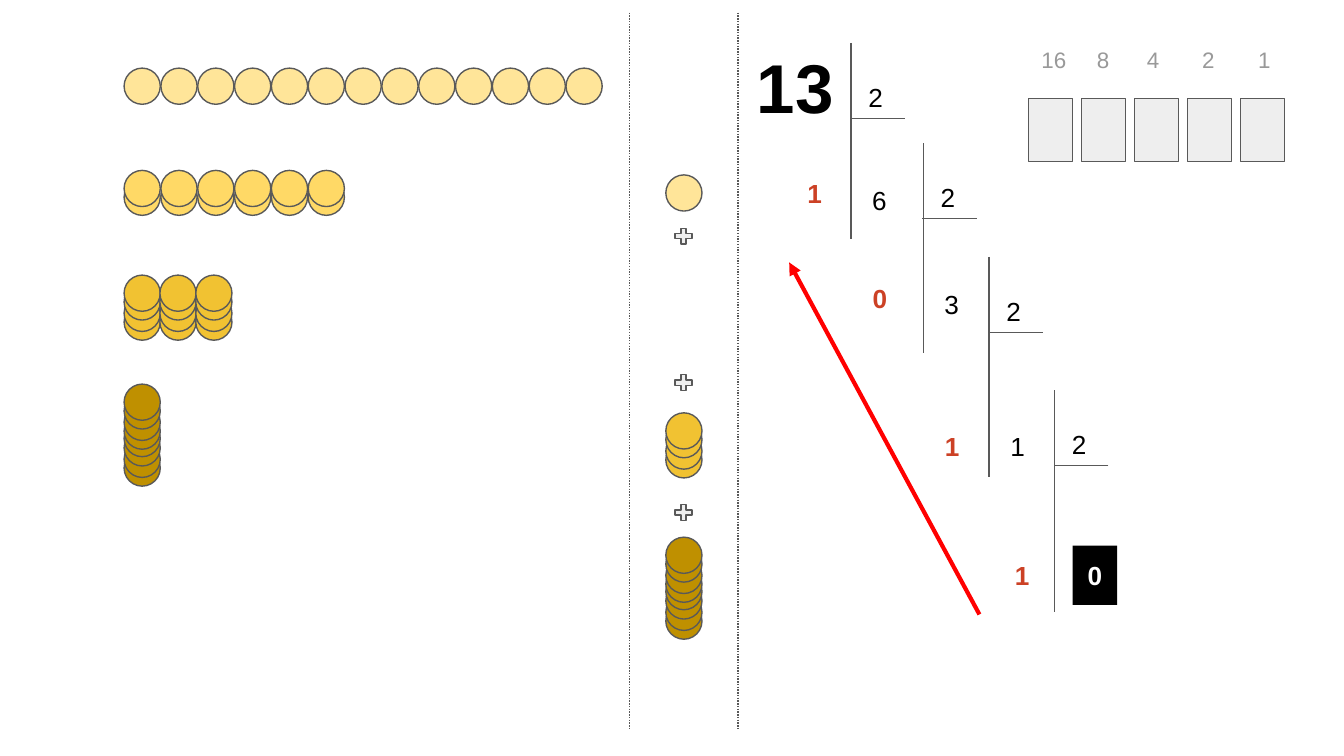
from dataclasses import dataclass

import pptx
import pptx.dml.color
import pptx.enum.dml
import pptx.enum.shapes
import pptx.enum.text
import pptx.oxml
import pptx.oxml.ns
import pptx.util

Pt = pptx.util.Pt
SHAPE = pptx.enum.shapes.MSO_SHAPE
ALIGN = pptx.enum.text.PP_ALIGN

COLORS = {
    "outline": "595959", "grey": "EEEEEE", "label": "999999",
    "black": "000000", "white": "FFFFFF", "remainder": "CC4125", "arrow": "FF0000",
    "coin1": "FFE599", "coin2": "FFD966", "coin4": "F1C232", "coin8": "BF9000",
}
COIN = 19.4
LIFTS = (0, 4.7, 10.8, 15.5, 19.5, 24.5, 30.6, 35.3)
DIGIT_W, DIGIT_H = 19.4, 31.7


@dataclass
class Piles:
    left: float
    top: float
    height: int
    color: str
    count: int = 1
    step: float = 19.73


@dataclass
class Division:
    x: float
    top: float
    bottom: float
    quotient: str
    quotient_top: float
    remainder: str
    remainder_left: float
    remainder_top: float


PILES = [
    Piles(66.5, 36.5, 1, "coin1", 13),
    Piles(66.5, 91.3, 2, "coin2", 6),
    Piles(66.5, 147.4, 4, "coin4", 3, 19.2),
    Piles(66.5, 205.8, 8, "coin8"),
    Piles(356.7, 93.7, 1, "coin1"),
    Piles(356.7, 221.2, 4, "coin4"),
    Piles(356.7, 287.8, 8, "coin8"),
]
DIVISIONS = [
    Division(455.9, 23, 128, "6", 91.6, "1", 425.5, 87.6),
    Division(494.6, 76.7, 189, "3", 147.5, "0", 460.4, 144.3),
    Division(529.9, 137.7, 255.4, "1", 223.4, "1", 499.1, 223.4),
    Division(565, 209, 328, "0", 292.4, "1", 536.6, 292.4),
]


def rgb(name: str) -> pptx.dml.color.RGBColor:
    return pptx.dml.color.RGBColor.from_string(COLORS[name])


def set_attrs(obj, **values) -> None:
    for name, value in values.items():
        setattr(obj, name, value)


def add_shape(shapes, kind, left: float, top: float, width: float, height: float, fill: str):
    sp = shapes.add_shape(kind, Pt(left), Pt(top), Pt(width), Pt(height))
    sp.shadow.inherit = False
    sp.fill.solid()
    sp.fill.fore_color.rgb = rgb(fill)
    sp.line.color.rgb = rgb("outline")
    sp.line.width = Pt(0.75)
    return sp


def add_line(shapes, x1: float, y1: float, x2: float, y2: float,
             color: str = "outline", width: float = 0.75):
    sp = shapes.add_connector(pptx.enum.shapes.MSO_CONNECTOR.STRAIGHT,
                              Pt(x1), Pt(y1), Pt(x2), Pt(y2))
    sp.line.color.rgb = rgb(color)
    sp.line.width = Pt(width)
    pptx.oxml.ns.qn("a:effectLst")
    sp.line._get_or_add_ln().addnext(
        sp._element.makeelement(pptx.oxml.ns.qn("a:effectLst")))
    return sp


def set_text(sp, text: str, size: float = 14, color: str = "black",
             bold: bool = False, align=ALIGN.LEFT):
    tf = sp.text_frame
    margins = dict.fromkeys(
        ("margin_left", "margin_right", "margin_top", "margin_bottom"), Pt(7.2))
    set_attrs(tf, word_wrap=True, vertical_anchor=pptx.enum.text.MSO_ANCHOR.TOP,
              auto_size=pptx.enum.text.MSO_AUTO_SIZE.SHAPE_TO_FIT_TEXT, **margins)
    p = tf.paragraphs[0]
    p.alignment = align
    r = p.add_run()
    r.text = text
    set_attrs(r.font, name="Arial", size=Pt(size), bold=bold)
    r.font.color.rgb = rgb(color)
    return p


def add_text(shapes, left: float, top: float, width: float, height: float, text: str, **style):
    sp = shapes.add_textbox(Pt(left), Pt(top), Pt(width), Pt(height))
    return set_text(sp, text, **style)


def add_piles(shapes, piles: Piles) -> None:
    """Draw each pile from its lowest coin upwards."""
    for i in range(piles.count):
        for lift in reversed(LIFTS[:piles.height]):
            add_shape(shapes, SHAPE.OVAL, piles.left + i * piles.step, piles.top + lift,
                      COIN, COIN, piles.color)


def add_division(shapes, d: Division) -> None:
    rule_y = d.top + 40.4
    add_line(shapes, d.x, d.top, d.x, d.bottom)
    add_line(shapes, d.x + 28.8, rule_y, d.x - 0.5, rule_y)
    add_text(shapes, d.x + 2.2, rule_y - 27, DIGIT_W, DIGIT_H, "2")
    add_text(shapes, d.remainder_left, d.remainder_top, DIGIT_W, DIGIT_H, d.remainder,
             color="remainder", bold=True)
    if d.quotient != "0":
        add_text(shapes, d.x + 4.3, d.quotient_top, DIGIT_W, DIGIT_H, d.quotient)
        return
    sp = add_shape(shapes, SHAPE.RECTANGLE, d.x + 9.7, d.quotient_top, 23.8, DIGIT_H, "black")
    sp.line.fill.background()
    set_text(sp, d.quotient, color="white", bold=True, align=ALIGN.CENTER)


def add_place_values(shapes) -> None:
    p = add_text(shapes, 550.8, 17.3, 172, 28.8, "16\t8\t4\t2\t1", size=12, color="label")
    tabs = "".join(f'<a:tab pos="{Pt(x)}" algn="l"/>' for x in (29.7, 56.5, 86.2, 116.2))
    p._p.get_or_add_pPr().append(pptx.oxml.parse_xml(
        f'<a:tabLst {pptx.oxml.ns.nsdecls("a")}>{tabs}</a:tabLst>'))
    for i in range(5):
        add_shape(shapes, SHAPE.RECTANGLE, 550.9 + i * 28.4, 52.7, 23.8, 34, "grey")


def main() -> None:
    prs = pptx.Presentation()
    set_attrs(prs, slide_width=Pt(720), slide_height=Pt(405))
    shapes = prs.slides.add_slide(prs.slide_layouts[6]).shapes

    add_place_values(shapes)
    for x in (337.2, 395.4):
        sp = add_line(shapes, x, 6.8, x, 390.6)
        sp.line.dash_style = pptx.enum.dml.MSO_LINE.ROUND_DOT
    for piles in PILES:
        add_piles(shapes, piles)
    for top in (120.8, 199.3, 268.9):
        sp = add_shape(shapes, SHAPE.MATH_PLUS, 360.1, top, 12.2, 11.5, "grey")
        sp.adjustments[0] = 0.235

    add_text(shapes, 360, 16.6, 93.6, 59, "13", size=37, bold=True, align=ALIGN.RIGHT)
    for division in DIVISIONS:
        add_division(shapes, division)
    arrow = add_line(shapes, 524.7, 329.2, 422.8, 140.6, "arrow", 2.25)
    arrow.line._get_or_add_ln().append(pptx.oxml.parse_xml(
        f'<a:tailEnd {pptx.oxml.ns.nsdecls("a")} type="triangle"/>'))
    prs.save("out.pptx")


if __name__ == "__main__":
    main()
